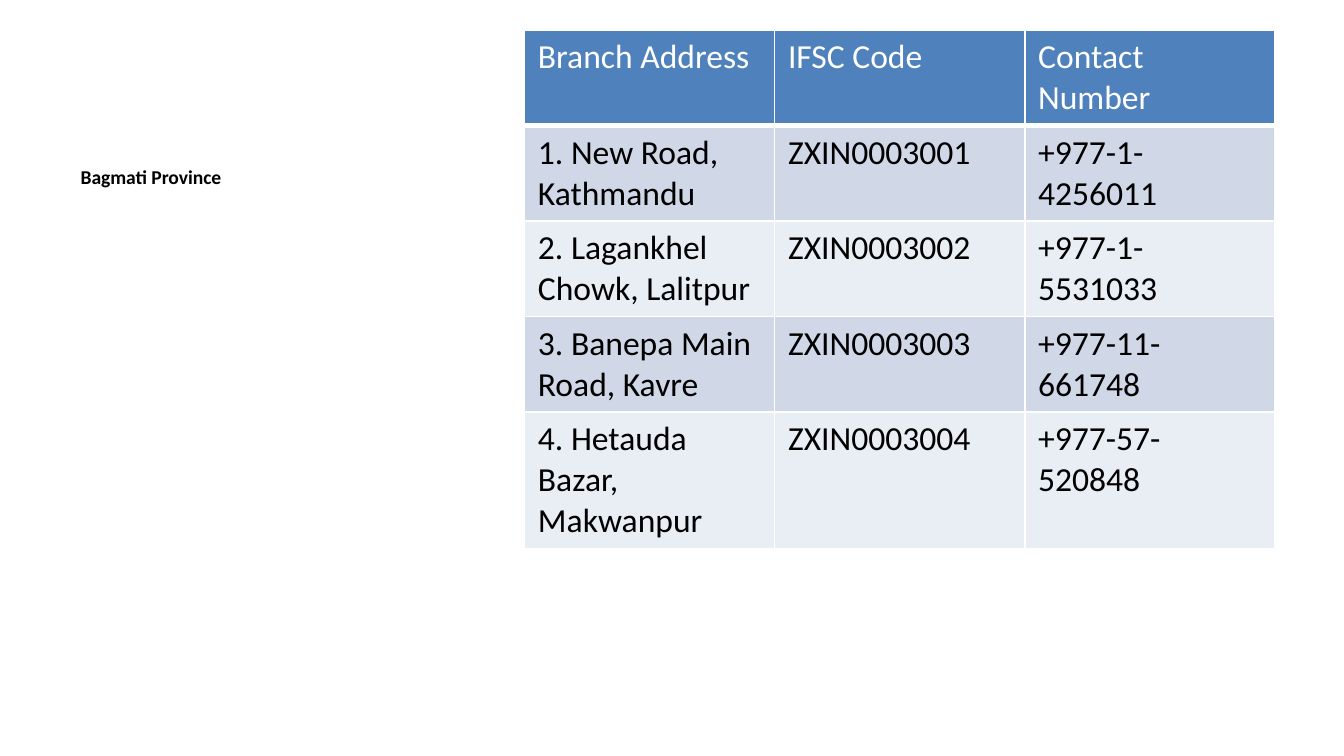
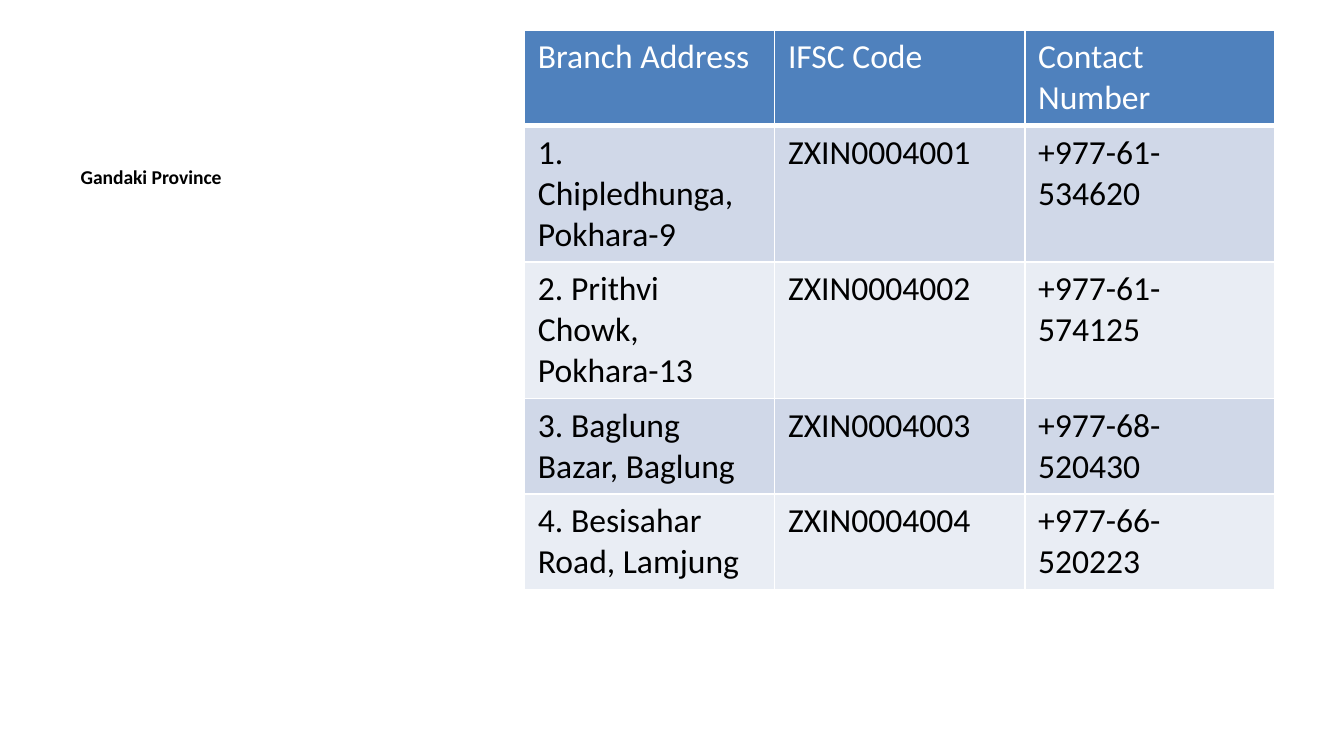
from lxml.etree import SubElement
from pptx import Presentation
from pptx.dml.color import RGBColor
from pptx.enum.text import MSO_ANCHOR, MSO_AUTO_SIZE, PP_ALIGN
from pptx.oxml.ns import qn
from pptx.util import Emu, Pt

EMU_PER_PX = 6350  # 144 px to the inch
COLORS = {
    "white": "FFFFFF",
    "text": "000000",
    "header": "4F81BD",
    "band_dark": "D0D8E8",
    "band_light": "E9EDF4",
}
FONT = "Calibri"
TITLE_ONLY = 5
HEADINGS = ("Branch Address", "IFSC Code", "Contact Number")
COLUMN_WIDTH = 268
PROVINCES = {
    "Bagmati Province": [
        ("1. New Road, Kathmandu", "ZXIN0003001", "+977-1-4256011"),
        ("2. Lagankhel Chowk, Lalitpur", "ZXIN0003002", "+977-1-5531033"),
        ("3. Banepa Main Road, Kavre", "ZXIN0003003", "+977-11-661748"),
        ("4. Hetauda Bazar, Makwanpur", "ZXIN0003004", "+977-57-520848"),
    ],
    "Gandaki Province": [
        ("1. Chipledhunga, Pokhara-9", "ZXIN0004001", "+977-61-534620"),
        ("2. Prithvi Chowk, Pokhara-13", "ZXIN0004002", "+977-61-574125"),
        ("3. Baglung Bazar, Baglung", "ZXIN0004003", "+977-68-520430"),
        ("4. Besisahar Road, Lamjung", "ZXIN0004004", "+977-66-520223"),
    ],
}


def px(length):
    return Emu(length * EMU_PER_PX)


class BranchDeck:
    def __init__(self):
        self.presentation = Presentation()
        self.presentation.slide_width = px(1440)
        self.presentation.slide_height = px(810)
        self.slide = None

    def add_slide(self):
        layout = self.presentation.slide_layouts[TITLE_ONLY]
        self.slide = self.presentation.slides.add_slide(layout)

    def add_run(self, paragraph, text, size, color, bold=False):
        paragraph.alignment = PP_ALIGN.LEFT
        run = paragraph.add_run()
        run.text = text
        run.font.name = FONT
        run.font.size = Pt(size)
        run.font.bold = bold
        run.font.color.rgb = RGBColor.from_string(COLORS[color])

    def add_title(self, text):
        title = self.slide.shapes.title
        title.left, title.top = px(72), px(170)
        title.width, title.height = px(474), px(554)
        frame = title.text_frame
        frame.word_wrap = True
        frame.auto_size = MSO_AUTO_SIZE.NONE
        frame.vertical_anchor = MSO_ANCHOR.TOP
        self.add_run(frame.paragraphs[0], text, 10.5, "text", bold=True)

    def add_borders(self, cell, bottom_width):
        properties = cell._tc.get_or_add_tcPr()
        for side, width in (("L", 1), ("R", 1), ("T", 1), ("B", bottom_width)):
            line = SubElement(properties, qn(f"a:ln{side}"), w=str(Pt(width)))
            fill = SubElement(line, qn("a:solidFill"))
            SubElement(fill, qn("a:srgbClr"), val=COLORS["white"])

    def format_cell(self, cell, text, fill, color, bottom_width):
        self.add_borders(cell, bottom_width)
        cell.fill.solid()
        cell.fill.fore_color.rgb = RGBColor.from_string(COLORS[fill])
        self.add_run(cell.text_frame.paragraphs[0], text, 18, color)

    def add_branch_table(self, branches):
        """Add the table with rows that grow to fit their text."""
        rows = [HEADINGS, *branches]
        columns = len(HEADINGS)
        height = px(690)
        shape = self.slide.shapes.add_table(
            len(rows), columns, px(562), px(32), px(COLUMN_WIDTH * columns), height)
        table = shape.table
        table.first_row = table.horz_banding = False
        for row_index, texts in enumerate(rows):
            table.rows[row_index].height = px(0)
            if row_index == 0:
                style = ("header", "white", 3)
            else:
                style = ("band_dark" if row_index % 2 else "band_light", "text", 1)
            for column_index, text in enumerate(texts):
                self.format_cell(table.cell(row_index, column_index), text, *style)
        shape.height = height


def main():
    deck = BranchDeck()
    for province, branches in PROVINCES.items():
        deck.add_slide()
        deck.add_title(province)
        deck.add_branch_table(branches)
    deck.presentation.save("out.pptx")


if __name__ == "__main__":
    main()
